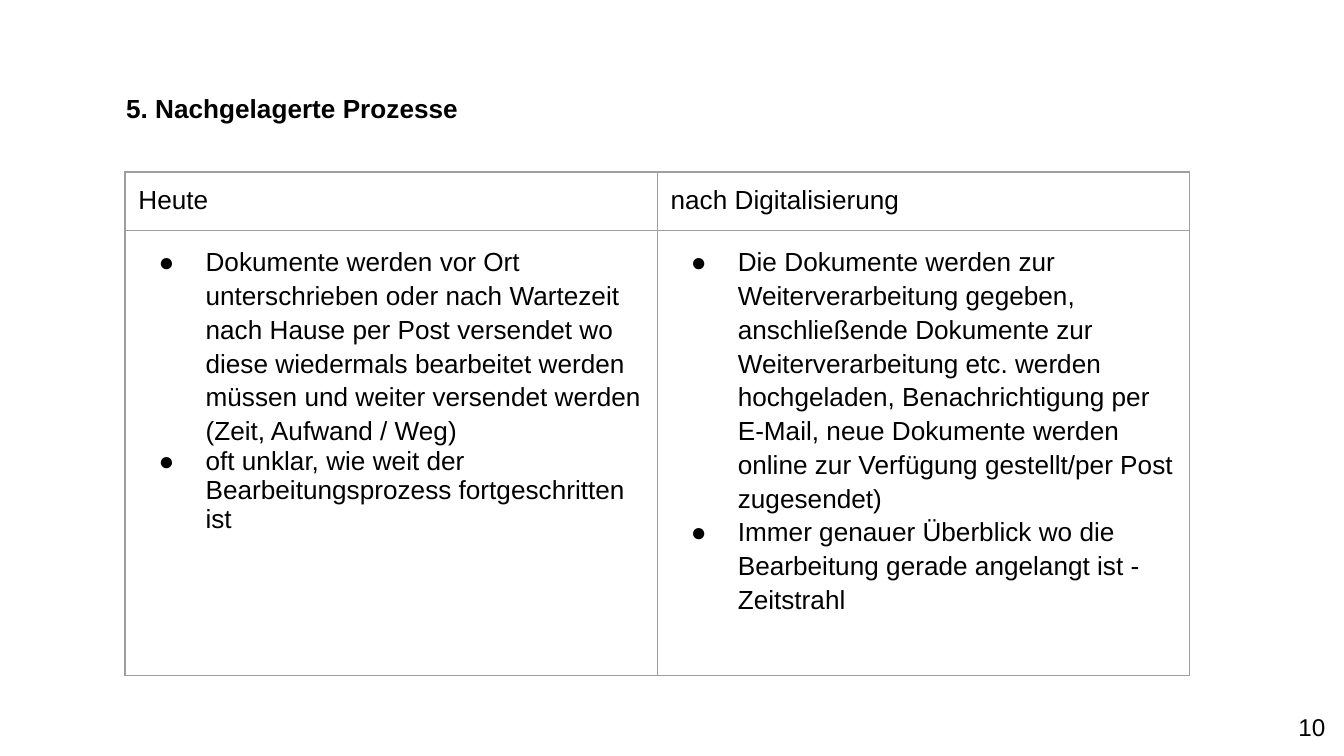
import dataclasses

import lxml.etree
import pptx
import pptx.dml.color
import pptx.enum.text
import pptx.oxml.ns
import pptx.slide
import pptx.table
import pptx.text.text
import pptx.util

Inches = pptx.util.Inches
Pt = pptx.util.Pt
Align = pptx.enum.text.PP_ALIGN
qn = pptx.oxml.ns.qn

BLACK = pptx.dml.color.RGBColor(0x00, 0x00, 0x00)
GREY = pptx.dml.color.RGBColor(0x9E, 0x9E, 0x9E)
FONT = "Arial"
INSET = Inches(0.1)
SLIDE_WIDTH = 10
COLUMN_WIDTH = 3.96
ROW_HEIGHTS = (0.41, 3.31)


@dataclasses.dataclass(frozen=True)
class Label:
    text: str
    left: float
    top: float
    width: float
    height: float
    size: float
    bold: bool = False
    indent: float = 0
    align: Align = Align.LEFT


@dataclasses.dataclass(frozen=True)
class Bullet:
    text: str
    spacing: float = 1.15


@dataclasses.dataclass(frozen=True)
class Column:
    heading: str
    bullets: tuple[Bullet, ...]


LABELS = (
    Label("5. Nachgelagerte Prozesse", 0.34, 0.49, 9.32, 0.63, 14, bold=True, indent=0.5),
    Label("10", 9.36, 5.19, 0.6, 0.43, 13, align=Align.RIGHT),
)
COLUMNS = (
    Column("Heute", (
        Bullet("Dokumente werden vor Ort unterschrieben oder nach Wartezeit nach Hause "
               "per Post versendet wo diese wiedermals bearbeitet werden müssen und "
               "weiter versendet werden (Zeit, Aufwand / Weg)"),
        Bullet("oft unklar, wie weit der Bearbeitungsprozess fortgeschritten ist", 1.0),
    )),
    Column("nach Digitalisierung", (
        Bullet("Die Dokumente werden zur Weiterverarbeitung gegeben, anschließende "
               "Dokumente zur Weiterverarbeitung etc. werden hochgeladen, "
               "Benachrichtigung per E-Mail, neue Dokumente werden online zur "
               "Verfügung gestellt/per Post zugesendet)"),
        Bullet("Immer genauer Überblick wo die Bearbeitung gerade angelangt ist - Zeitstrahl"),
    )),
)


def format_spans(para: pptx.text.text._Paragraph, size: float, bold: bool = False) -> None:
    for span in para.runs:
        span.font.name = FONT
        span.font.size = Pt(size)
        span.font.bold = bold
        span.font.color.rgb = BLACK


def set_insets(holder: pptx.text.text.TextFrame | pptx.table._Cell) -> None:
    holder.margin_left = holder.margin_right = INSET
    holder.margin_top = holder.margin_bottom = INSET


def set_indent(para: pptx.text.text._Paragraph, margin: float, first: float) -> None:
    properties = para._p.get_or_add_pPr()
    properties.set("marL", str(Inches(margin)))
    properties.set("indent", str(Inches(first)))


def add_label(page: pptx.slide.Slide, label: Label) -> None:
    box = page.shapes.add_textbox(
        Inches(label.left), Inches(label.top), Inches(label.width), Inches(label.height))
    frame = box.text_frame
    frame.word_wrap = True
    frame.vertical_anchor = pptx.enum.text.MSO_ANCHOR.MIDDLE
    set_insets(frame)
    frame.text = label.text
    para = frame.paragraphs[0]
    para.alignment = label.align
    set_indent(para, label.indent, 0)
    format_spans(para, label.size, label.bold)


def format_cell(cell: pptx.table._Cell) -> None:
    set_insets(cell)
    properties = cell._tc.get_or_add_tcPr()
    for side in ("lnL", "lnR", "lnT", "lnB"):
        line = lxml.etree.SubElement(properties, qn(f"a:{side}"), w=str(Pt(0.75)))
        fill = lxml.etree.SubElement(line, qn("a:solidFill"))
        lxml.etree.SubElement(fill, qn("a:srgbClr"), val=str(GREY))
    cell.fill.background()
    for para in cell.text_frame.paragraphs:
        format_spans(para, 14)


def format_bullet(para: pptx.text.text._Paragraph, bullet: Bullet) -> None:
    para.line_spacing = bullet.spacing
    set_indent(para, 0.5, -0.35)
    properties = para._p.get_or_add_pPr()
    color = lxml.etree.SubElement(properties, qn("a:buClr"))
    lxml.etree.SubElement(color, qn("a:srgbClr"), val=str(BLACK))
    lxml.etree.SubElement(properties, qn("a:buFont"), typeface=FONT)
    lxml.etree.SubElement(properties, qn("a:buChar"), char="●")


def add_comparison(page: pptx.slide.Slide, columns: tuple[Column, ...]) -> None:
    table = page.shapes.add_table(
        len(ROW_HEIGHTS), len(columns), Inches(0.93), Inches(1.28),
        Inches(COLUMN_WIDTH * len(columns)), Inches(sum(ROW_HEIGHTS))).table
    table.first_row = False
    table.horz_banding = False
    for row, height in zip(table.rows, ROW_HEIGHTS):
        row.height = Inches(height)
    for index, column in enumerate(columns):
        table.columns[index].width = Inches(COLUMN_WIDTH)
        heading, body = table.cell(0, index), table.cell(1, index)
        heading.text_frame.text = column.heading
        body.text_frame.text = "\n".join(bullet.text for bullet in column.bullets)
        for para, bullet in zip(body.text_frame.paragraphs, column.bullets):
            format_bullet(para, bullet)
        format_cell(heading)
        format_cell(body)


def main() -> None:
    deck = pptx.Presentation()
    deck.slide_width = Inches(SLIDE_WIDTH)
    deck.slide_height = Inches(SLIDE_WIDTH * 9 / 16)
    page = deck.slides.add_slide(deck.slide_layouts[6])
    for label in LABELS:
        add_label(page, label)
    add_comparison(page, COLUMNS)
    deck.save("out.pptx")


if __name__ == "__main__":
    main()
